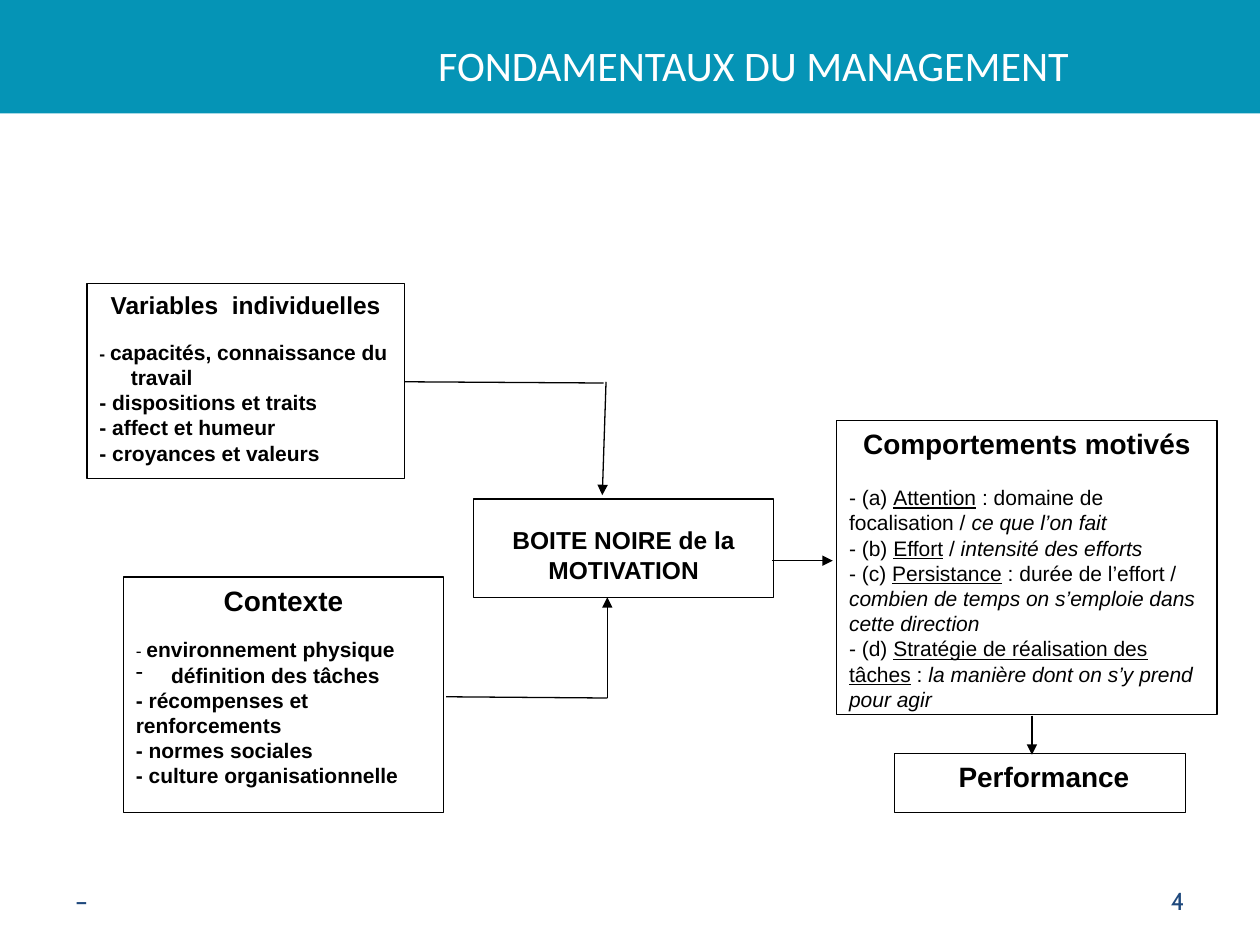
"""Build the slide on the motivation model of management fundamentals."""
from dataclasses import dataclass
from typing import NamedTuple

from lxml.etree import SubElement
from pptx import Presentation
from pptx.dml.color import RGBColor
from pptx.enum.shapes import MSO_CONNECTOR as Connector, MSO_SHAPE as Shape
from pptx.enum.text import MSO_ANCHOR as Anchor, PP_ALIGN as Align
from pptx.oxml import parse_xml
from pptx.oxml.ns import nsdecls, qn
from pptx.util import Inches, Pt

BLACK, WHITE, TEAL, NAVY = "000000", "FFFFFF", "0594B6", "1F497D"


class Span(NamedTuple):
    text: str
    size: float | None = None
    bold: bool | None = None
    italic: bool | None = None
    underline: bool | None = None


@dataclass
class Para:
    spans: list[Span]
    size: float = 12
    bold: bool = True
    align: Align = Align.LEFT
    after: float = 0
    margin: float = 0
    bullet: str = ""
    font: str = "Arial"
    color: str = BLACK


@dataclass
class Box:
    place: tuple[float, float, float, float]
    paras: list[Para]
    top_inset: float = 0.05


class Line(NamedTuple):
    start: tuple[float, float]
    end: tuple[float, float]
    arrow: bool


def rgb(value: str) -> RGBColor:
    return RGBColor.from_string(value)


def heading(text: str, size: float = 16, after: float = 0, margin: float = 0) -> Para:
    return Para([Span(text)], size, align=Align.CENTER, after=after, margin=margin)


def item(text: str, margin: float = 0) -> Para:
    return Para([Span(f"- {text}")], margin=margin)


def behaviour(letter: str, name: str, link: str, detail: str) -> Para:
    spans = [Span(f"- ({letter}) "), Span(name, underline=True), Span(link), Span(detail, italic=True)]
    return Para(spans, bold=False)


def write(frame, paras: list[Para]) -> None:
    frame.word_wrap = True
    for index, para in enumerate(paras):
        line = frame.paragraphs[0] if index == 0 else frame.add_paragraph()
        line.alignment = para.align
        line.font.name, line.font.size, line.font.bold = para.font, Pt(para.size), para.bold
        line.font.color.rgb = rgb(para.color)
        properties = line._p.get_or_add_pPr()
        if para.margin:
            properties.set("marL", str(Inches(para.margin)))
            properties.set("indent", str(-Inches(para.margin)))
        if para.bullet:
            properties.insert(0, parse_xml(f'<a:buChar {nsdecls("a")} char="{para.bullet}"/>'))
        if para.after:
            line.space_after = Pt(para.after)
        for span in para.spans:
            run = line.add_run()
            run.text = span.text
            if span.size:
                run.font.size = Pt(span.size)
            for name in ("bold", "italic", "underline"):
                if getattr(span, name) is not None:
                    setattr(run.font, name, getattr(span, name))


def add_rectangle(page, place: tuple[float, float, float, float], fill: str, line: str | None = None):
    shape = page.shapes.add_shape(Shape.RECTANGLE, *map(Inches, place))
    shape.shadow.inherit = False
    shape.fill.solid()
    shape.fill.fore_color.rgb = rgb(fill)
    if line:
        shape.line.color.rgb = rgb(line)
        shape.line.width = Pt(0.75)
    else:
        shape.line.fill.background()
    return shape


def add_box(page, box: Box) -> None:
    frame = add_rectangle(page, box.place, WHITE, BLACK).text_frame
    frame.vertical_anchor = Anchor.TOP
    frame.margin_top = Inches(box.top_inset)
    write(frame, box.paras)


def add_label(page, place: tuple[float, float, float, float], para: Para) -> None:
    frame = page.shapes.add_textbox(*map(Inches, place)).text_frame
    frame.vertical_anchor = Anchor.MIDDLE
    write(frame, [para])


def add_line(page, line: Line) -> None:
    connector = page.shapes.add_connector(Connector.STRAIGHT, *map(Inches, line.start + line.end))
    connector.line.color.rgb = rgb(BLACK)
    connector.line.width = Pt(0.75)
    if line.arrow:
        SubElement(connector.line._get_or_add_ln(), qn("a:tailEnd"), type="triangle")
    SubElement(connector._element.spPr, qn("a:effectLst"))


HANG = 0.25
BOXES = [
    Box((0.69, 2.25, 2.52, 1.55), [
        heading("Variables  individuelles", 14, after=11.5, margin=HANG),
        Para([Span("- ", size=10), Span("capacités, connaissance du travail")], margin=HANG),
        *(item(text, HANG) for text in ("dispositions et traits", "affect et humeur", "croyances et valeurs")),
    ]),
    Box((0.98, 4.58, 2.54, 1.87), [
        heading("Contexte", after=11.5),
        Para([Span("- ", size=10, bold=False), Span("environnement physique")]),
        Para([Span("définition des tâches")], margin=0.28, bullet="-"),
        *map(item, ("récompenses et renforcements", "normes sociales", "culture organisationnelle")),
    ]),
    Box((3.76, 3.96, 2.38, 0.78), [heading("BOITE NOIRE de la MOTIVATION", 14)], top_inset=0.21),
    Box((6.64, 3.34, 3.02, 2.33), [
        heading("Comportements motivés", after=13.8),
        behaviour("a", "Attention", "\u00a0: domaine de focalisation / ", "ce que l’on fait"),
        behaviour("b", "Effort", "\u00a0/ ", "intensité des efforts"),
        behaviour("c", "Persistance", "\u00a0: durée de l’effort / ",
                  "combien de temps on s’emploie dans cette direction"),
        behaviour("d", "Stratégie de réalisation des tâches", "\u00a0: ",
                  "la manière dont on s’y prend pour agir"),
    ]),
    Box((7.1, 5.98, 2.31, 0.47), [heading(" Performance")]),
]
LINES = [
    Line((8.19, 5.68), (8.19, 5.99), True),
    Line((3.21, 3.03), (4.79, 3.04), False),
    Line((4.81, 3.03), (4.78, 3.93), True),
    Line((3.54, 5.53), (4.82, 5.54), False),
    Line((4.82, 5.54), (4.82, 4.74), True),
    Line((6.13, 4.45), (6.61, 4.45), True),
]

deck = Presentation()
deck.slide_width, deck.slide_height = Inches(10), Inches(7.5)
page = deck.slides.add_slide(deck.slide_layouts[6])

add_rectangle(page, (-0.01, 0, 10.01, 0.9), TEAL)
add_label(page, (2.95, 0.13, 6.06, 0.76), Para(
    [Span("FONDAMENTAUX DU MANAGEMENT")], 24, False, Align.CENTER, font="Calibri", color=WHITE))
for box in BOXES:
    add_box(page, box)
for line in LINES:
    add_line(page, line)
for left, text, align in ((0.5, "–", Align.LEFT), (7.17, "4", Align.RIGHT)):
    add_label(page, (left, 6.95, 2.33, 0.4), Para(
        [Span(text)], 14, False, align, font="Cabin", color=NAVY))

deck.save("out.pptx")
